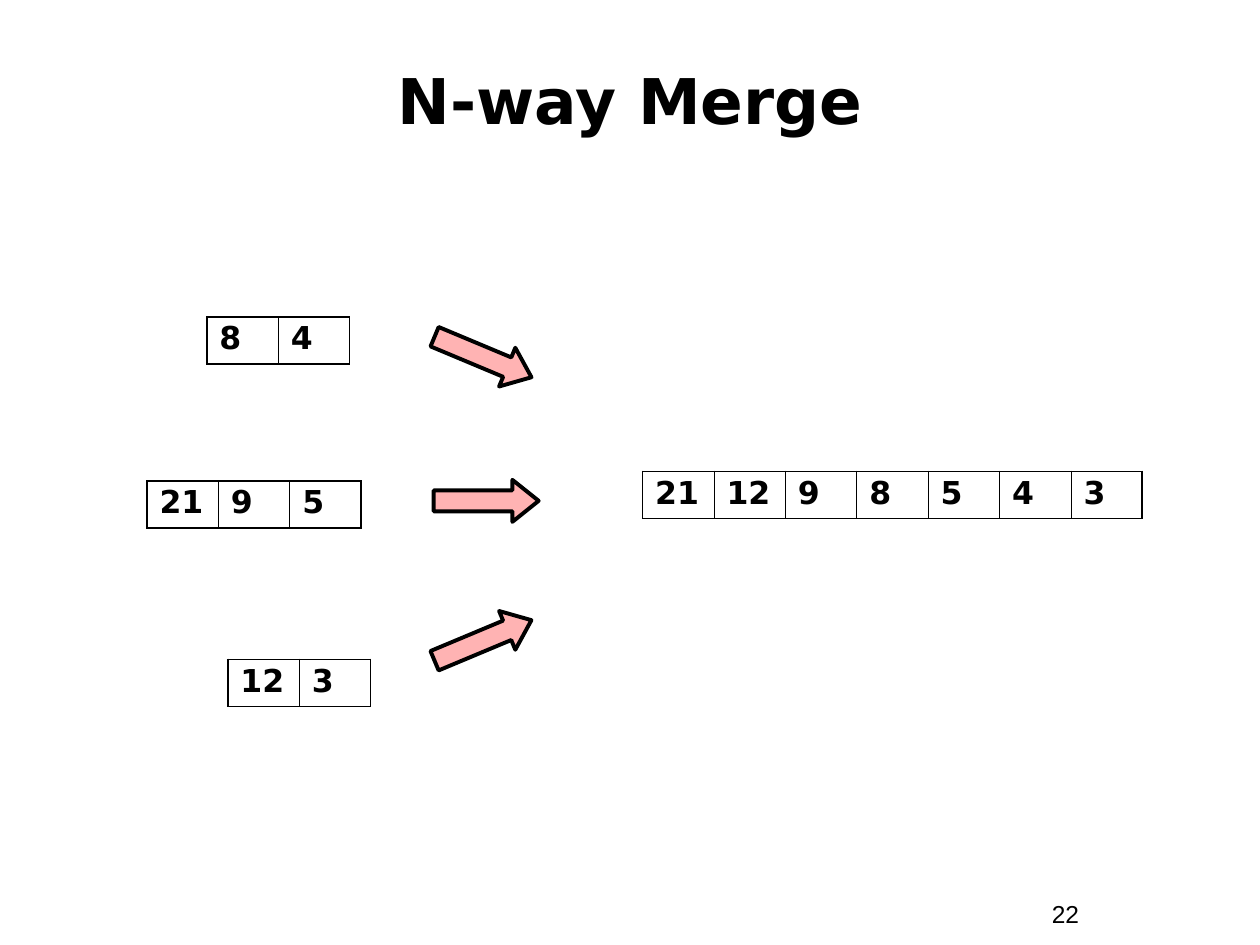
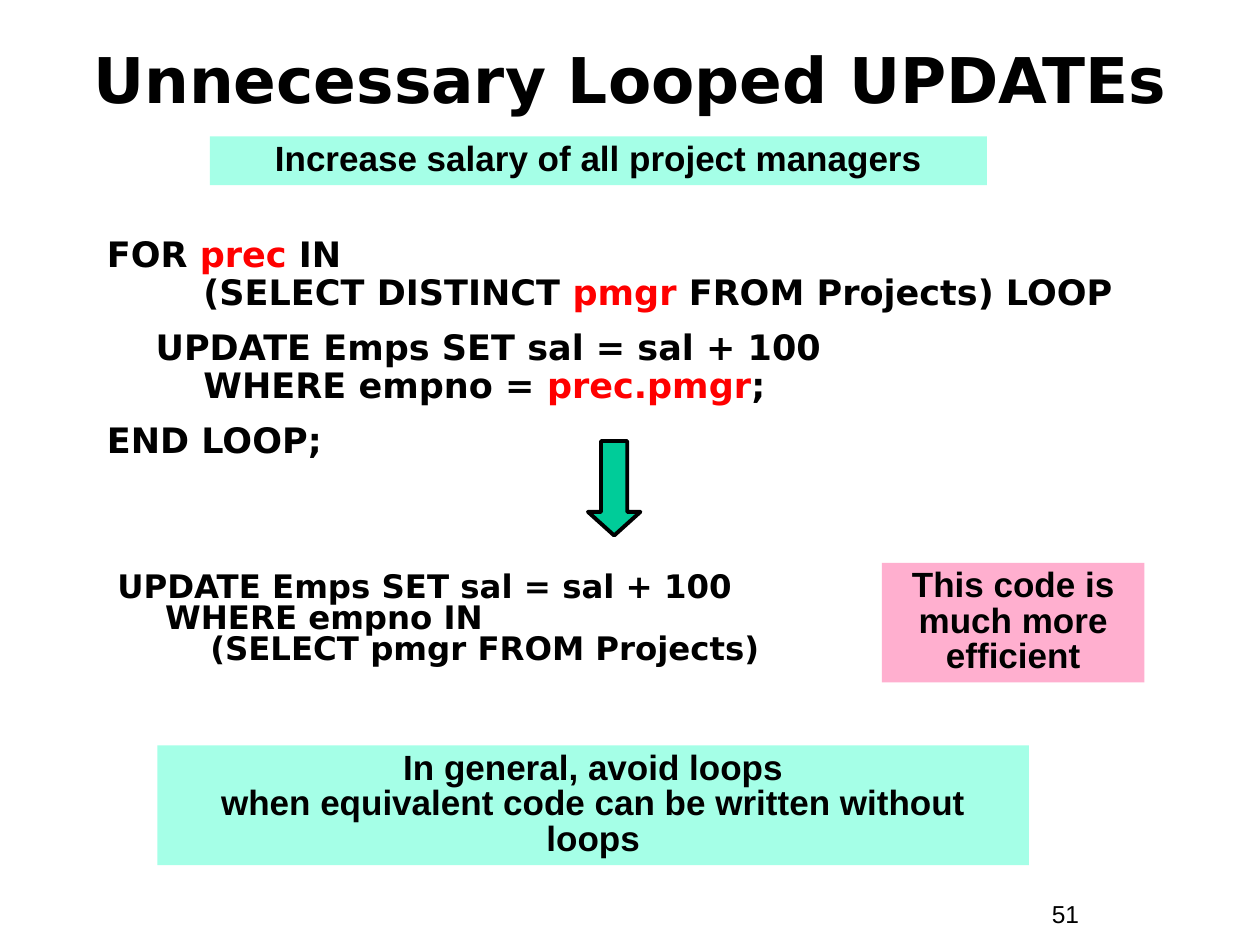
"""Build two slides: an N-way merge diagram and a looped UPDATE rewrite."""
from dataclasses import dataclass

from lxml import etree
from pptx import Presentation
from pptx import util as u
from pptx.dml.color import RGBColor
from pptx.enum import shapes, text
from pptx.oxml.ns import qn

COLORS = {"ink": "000000", "key": "FF0000", "merge": "FFB3B3", "rewrite": "00CC99",
          "mint": "A5FFE7", "pink": "FFAFCF"}
HEAD, BODY = "DejaVu Sans", "Arial"
WIDTH, HEIGHT = u.Inches(10), u.Inches(7.5)
COLS, ROWS = 120, 90
CELL_W, CELL_H = 6.8, 4.48
INNER, OUTER = 0.45, 1.08
HANG = u.Inches(0.38)
MARK = "|"


@dataclass(frozen=True)
class Area:
    """A place on the slide grid, in columns and rows."""
    x: float
    y: float
    w: float
    h: float

    def emu(self) -> tuple[int, int, int, int]:
        """Return left, top, width and height as lengths."""
        return col(self.x), row(self.y), col(self.w), row(self.h)


@dataclass(frozen=True)
class Style:
    """How the paragraphs of a text are set."""
    size: float
    font: str
    bold: bool = True
    align: text.PP_ALIGN = text.PP_ALIGN.LEFT
    spacing: float = 1.0
    before: float = 0
    hanging: bool = False


@dataclass(frozen=True)
class Sequence:
    """A strip of numbered cells."""
    x: float
    y: float
    values: tuple[int, ...]


@dataclass(frozen=True)
class Arrow:
    """A block arrow."""
    kind: shapes.MSO_SHAPE
    area: Area
    color: str
    head: float
    turn: float = 0


@dataclass(frozen=True)
class Note:
    """A filled box with a centred remark."""
    area: Area
    color: str
    words: str


@dataclass(frozen=True)
class Code:
    """A code listing whose marked names are highlighted."""
    area: Area
    style: Style
    statements: tuple[str, ...]


CENTER = text.PP_ALIGN.CENTER
TITLE = Style(36, HEAD, align=CENTER)
NUMBER = Style(14, BODY, bold=False)
CELL = Style(18, HEAD, spacing=0.9)
REMARK = Style(20, BODY, align=CENTER, spacing=0.85)
LOOP_CODE = Style(20, HEAD, spacing=0.9, before=10, hanging=True)
SET_CODE = Style(18.5, HEAD, spacing=0.8, hanging=True)

SEQUENCES = (
    Sequence(19.7, 30.2, (8, 4)),
    Sequence(14, 45.8, (21, 9, 5)),
    Sequence(21.7, 62.8, (12, 3)),
    Sequence(61.2, 44.9, (21, 12, 9, 8, 5, 4, 3)),
)
RIGHT, DOWN = shapes.MSO_SHAPE.RIGHT_ARROW, shapes.MSO_SHAPE.DOWN_ARROW
MERGE_ARROWS = tuple(
    Arrow(RIGHT, Area(x, y, 10, 4), "merge", 0.625, turn)
    for x, y, turn in ((41, 32, 22.7), (41.3, 45.7, 0), (41, 59, -22.7)))
REWRITE_ARROW = Arrow(DOWN, Area(56, 42, 5, 9), "rewrite", 0.45)
CODES = (
    Code(Area(9, 22, 102, 26), LOOP_CODE, (
        "FOR |prec| IN\n    (SELECT DISTINCT |pmgr| FROM Projects) LOOP",
        "    UPDATE Emps SET sal = sal + 100\n    WHERE empno = |prec.pmgr|;",
        "END LOOP;")),
    Code(Area(10, 54, 102, 14), SET_CODE, (
        "UPDATE Emps SET sal = sal + 100\nWHERE empno IN\n"
        "    (SELECT pmgr FROM Projects)",)),
)
NOTES = (
    Note(Area(15, 71, 83, 11.4), "mint",
         "In general, avoid loops\nwhen equivalent code can be written without loops"),
    Note(Area(20, 13, 74, 4.65), "mint", "Increase salary of all project managers"),
    Note(Area(84, 53.6, 25, 11.4), "pink", "This code is much more efficient"),
)


def col(n: float) -> int:
    """Turn grid columns into a length."""
    return round(WIDTH * n / COLS)


def row(n: float) -> int:
    """Turn grid rows into a length."""
    return round(HEIGHT * n / ROWS)


def rgb(name: str) -> RGBColor:
    """Look up a colour."""
    return RGBColor.from_string(COLORS[name])


def write(tf, paragraphs: tuple[str, ...], style: Style) -> None:
    """Fill a text frame, highlighting what stands between marks."""
    tf.word_wrap = True
    for i, words in enumerate(paragraphs):
        p = tf.add_paragraph() if i else tf.paragraphs[0]
        p.alignment, p.line_spacing = style.align, style.spacing
        p.space_before = u.Pt(style.before if i else 0)
        if style.hanging:
            pPr = p._p.get_or_add_pPr()
            pPr.set("marL", str(HANG))
            pPr.set("indent", str(-HANG))
        p.font.size, p.font.name, p.font.bold = u.Pt(style.size), style.font, style.bold
        for j, part in enumerate(words.split(MARK)):
            for k, line in enumerate(part.split("\n")):
                if k:
                    p.add_line_break()
                r = p.add_run()
                r.text = line
                r.font.color.rgb = rgb("key" if j % 2 else "ink")


def add_text(s, area: Area, paragraphs: tuple[str, ...], style: Style,
             anchor: text.MSO_ANCHOR = text.MSO_ANCHOR.TOP) -> None:
    """Add a plain text box."""
    tf = s.shapes.add_textbox(*area.emu()).text_frame
    tf.vertical_anchor = anchor
    write(tf, paragraphs, style)


def add_slide(prs, title: str, top: float, number: int):
    """Add a blank slide with its title and number."""
    s = prs.slides.add_slide(prs.slide_layouts[6])
    add_text(s, Area(99, 85, 11, 4), (str(number),), NUMBER)
    add_text(s, Area(4, top, 112, 11), (title,), TITLE, text.MSO_ANCHOR.MIDDLE)
    return s


def add_border(cell, side: str, width: float) -> None:
    """Draw one edge of a table cell."""
    ln = etree.SubElement(cell._tc.get_or_add_tcPr(), qn(f"a:ln{side}"), w=str(u.Pt(width)))
    fill = etree.SubElement(ln, qn("a:solidFill"))
    etree.SubElement(fill, qn("a:srgbClr"), val=COLORS["ink"])


def add_sequence(s, seq: Sequence) -> None:
    """Draw a sequence as a one-row table."""
    count = len(seq.values)
    area = Area(seq.x, seq.y, CELL_W * count, CELL_H)
    table = s.shapes.add_table(1, count, *area.emu()).table
    table.first_row = table.horz_banding = False
    for i, value in enumerate(seq.values):
        table.columns[i].width = col(CELL_W)
        cell = table.cell(0, i)
        write(cell.text_frame, (str(value),), CELL)
        add_border(cell, "L", INNER if i else OUTER)
        add_border(cell, "R", INNER if i < count - 1 else OUTER)
        for side in "TB":
            add_border(cell, side, OUTER)
        cell.fill.background()


def add_filled(s, kind: shapes.MSO_SHAPE, area: Area, color: str):
    """Add a flat filled shape."""
    sp = s.shapes.add_shape(kind, *area.emu())
    sp.shadow.inherit = False
    sp.fill.solid()
    sp.fill.fore_color.rgb = rgb(color)
    return sp


def add_arrow(s, arrow: Arrow) -> None:
    """Draw an outlined block arrow."""
    sp = add_filled(s, arrow.kind, arrow.area, arrow.color)
    sp.line.color.rgb, sp.line.width = rgb("ink"), u.Pt(2.25)
    sp.adjustments[0], sp.adjustments[1] = 0.5, arrow.head
    sp.rotation = arrow.turn


def add_note(s, note: Note) -> None:
    """Draw a remark in a box without an outline."""
    sp = add_filled(s, shapes.MSO_SHAPE.RECTANGLE, note.area, note.color)
    sp.line.fill.background()
    tf = sp.text_frame
    tf.vertical_anchor = text.MSO_ANCHOR.TOP
    tf.auto_size = text.MSO_AUTO_SIZE.SHAPE_TO_FIT_TEXT
    write(tf, (note.words,), REMARK)


def main() -> None:
    """Build and save the slides."""
    prs = Presentation()
    prs.slide_width, prs.slide_height = WIDTH, HEIGHT

    s = add_slide(prs, "N-way Merge", 4, 22)
    for seq in SEQUENCES:
        add_sequence(s, seq)
    for arrow in MERGE_ARROWS:
        add_arrow(s, arrow)

    s = add_slide(prs, "Unnecessary Looped UPDATEs", 2, 51)
    for code in CODES:
        add_text(s, code.area, code.statements, code.style)
    add_arrow(s, REWRITE_ARROW)
    for note in NOTES:
        add_note(s, note)

    prs.save("out.pptx")


if __name__ == "__main__":
    main()
